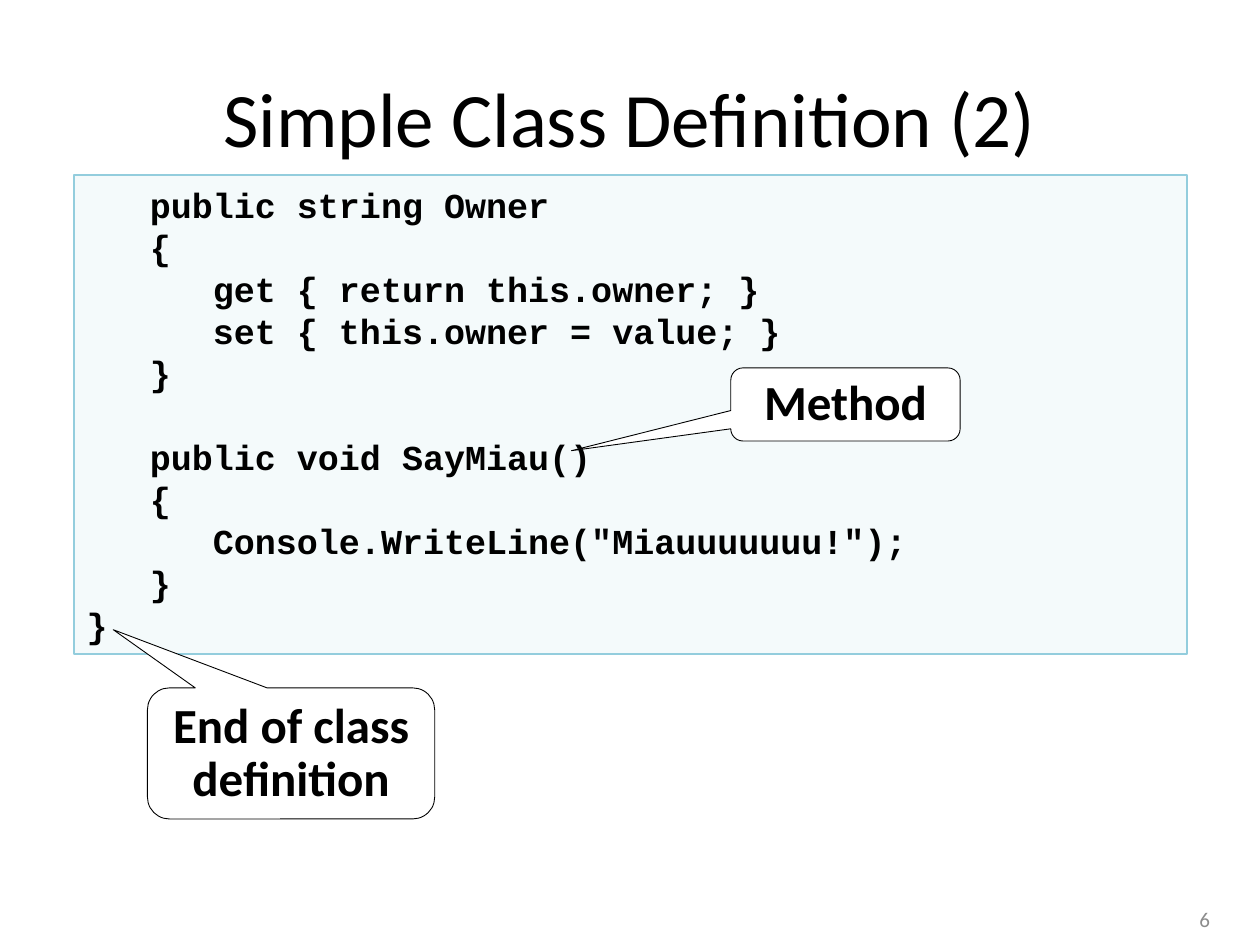
from dataclasses import dataclass

from lxml import etree
from pptx import Presentation
from pptx.dml.color import RGBColor
from pptx.enum import shapes, text
from pptx.oxml import ns
from pptx.util import Inches, Pt

HUES = {"ink": "000000", "paper": "FFFFFF", "panel": "B7DEE8",
        "edge": "93CDDD", "page": "8C8C8C"}

CODE = """\
   public string Owner
   {
      get { return this.owner; }
      set { this.owner = value; }
   }
   
   public void SayMiau()
   {
      Console.WriteLine("Miauuuuuuu!");
   }
}"""


@dataclass
class Box:
    left: float
    top: float
    width: float
    height: float

    def place(self) -> tuple:
        return tuple(Inches(n) for n in
                     (self.left, self.top, self.width, self.height))


@dataclass
class Note:
    label: str
    box: Box
    tip: tuple[float, float]


NOTES = [
    Note("Method", Box(5.8, 2.92, 1.82, 0.58), (-1.195, 0.633)),
    Note("End of class definition", Box(1.17, 5.46, 2.28, 1.04),
         (-0.619, -0.944)),
]


def hue(name: str) -> RGBColor:
    return RGBColor.from_string(HUES[name])


def style(para, size: float, face: str = "Calibri", bold: bool = False,
          ink: str = "ink") -> None:
    font = para.font
    font.size, font.name, font.bold = Pt(size), face, bold
    font.color.rgb = hue(ink)


def draw_shape(slide, kind, box: Box, fill: str, edge: str, weight: float):
    shape = slide.shapes.add_shape(kind, *box.place())
    shape.shadow.inherit = False
    shape.fill.solid()
    shape.fill.fore_color.rgb = hue(fill)
    shape.line.color.rgb = hue(edge)
    shape.line.width = Pt(weight)
    shape.text_frame.word_wrap = True
    return shape


def draw_title(slide) -> None:
    title = slide.shapes.title
    title.left, title.top, title.width, title.height = Box(
        0.5, 0.3, 9, 1.25).place()
    frame = title.text_frame
    frame.text = "Simple Class Definition (2)"
    frame.vertical_anchor = text.MSO_ANCHOR.MIDDLE
    para = frame.paragraphs[0]
    para.alignment = text.PP_ALIGN.CENTER
    style(para, 44)


def draw_code(slide) -> None:
    panel = draw_shape(slide, shapes.MSO_SHAPE.RECTANGLE,
                       Box(0.59, 1.39, 8.83, 3.8), "panel", "edge", 1)
    tint = panel.fill._xPr.find(".//" + ns.qn("a:srgbClr"))
    etree.SubElement(tint, ns.qn("a:alpha"), val="15000")
    panel.text_frame.text = CODE
    for para in panel.text_frame.paragraphs:
        para.alignment = text.PP_ALIGN.LEFT
        para.line_spacing = Pt(24)
        style(para, 20, "Courier New", True)


def draw_note(slide, note: Note) -> None:
    shape = draw_shape(slide, shapes.MSO_SHAPE.ROUNDED_RECTANGULAR_CALLOUT,
                       note.box, "paper", "ink", 0.5)
    for i, value in enumerate((*note.tip, 0.167)):
        shape.adjustments[i] = value
    shape.text_frame.text = note.label
    para = shape.text_frame.paragraphs[0]
    para.alignment = text.PP_ALIGN.CENTER
    para.line_spacing = Pt(30)
    style(para, 28, bold=True)


def draw_page(slide) -> None:
    frame = slide.shapes.add_textbox(
        *Box(9.42, 7.17, 0.5, 0.25).place()).text_frame
    frame.word_wrap = True
    frame.vertical_anchor = text.MSO_ANCHOR.MIDDLE
    frame.text = "6"
    style(frame.paragraphs[0], 12, ink="page")


def main() -> None:
    deck = Presentation()
    deck.slide_width, deck.slide_height = Inches(10), Inches(7.5)
    slide = deck.slides.add_slide(deck.slide_layouts[5])
    draw_title(slide)
    draw_code(slide)
    for note in NOTES:
        draw_note(slide, note)
    draw_page(slide)
    deck.save("out.pptx")


if __name__ == "__main__":
    main()
